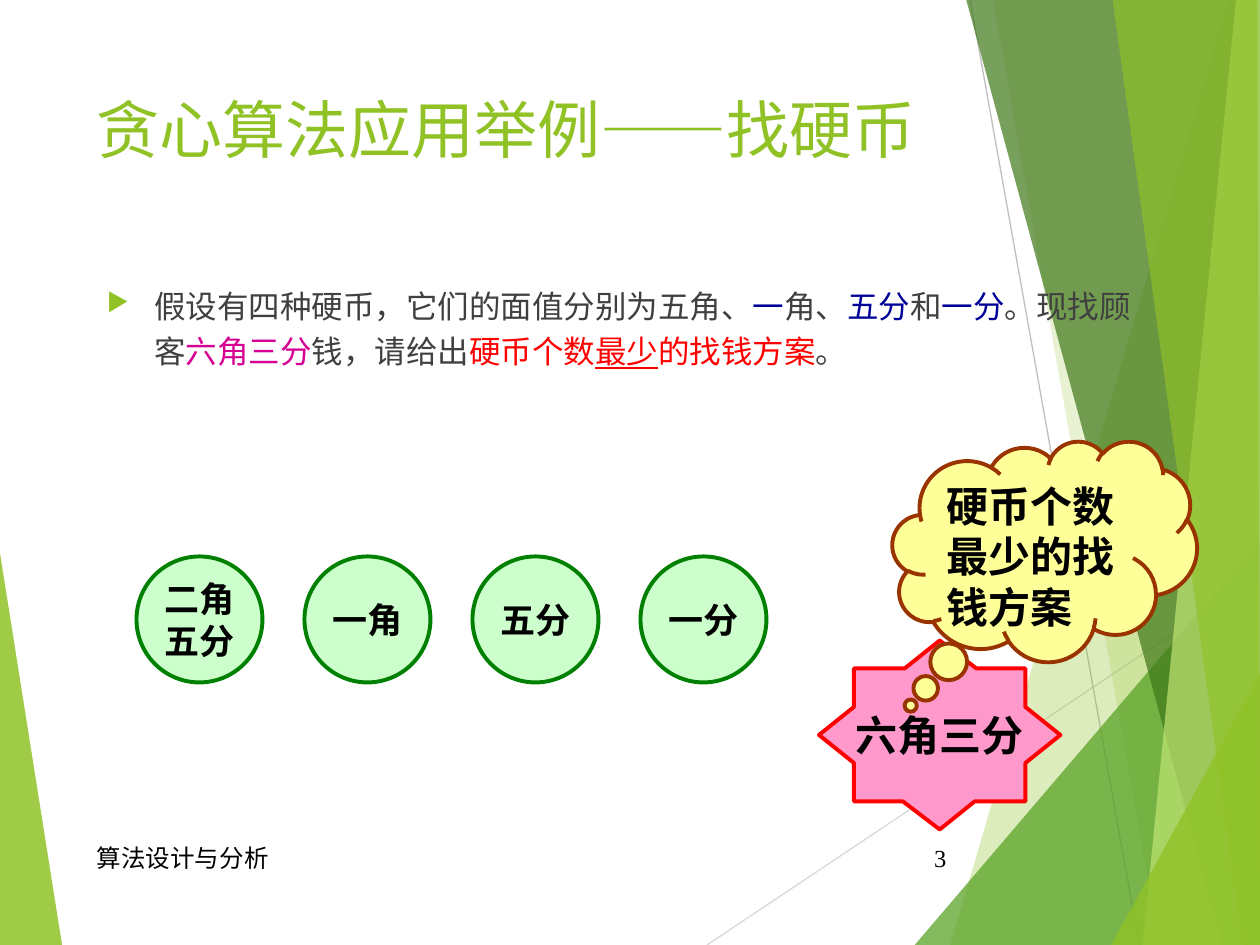
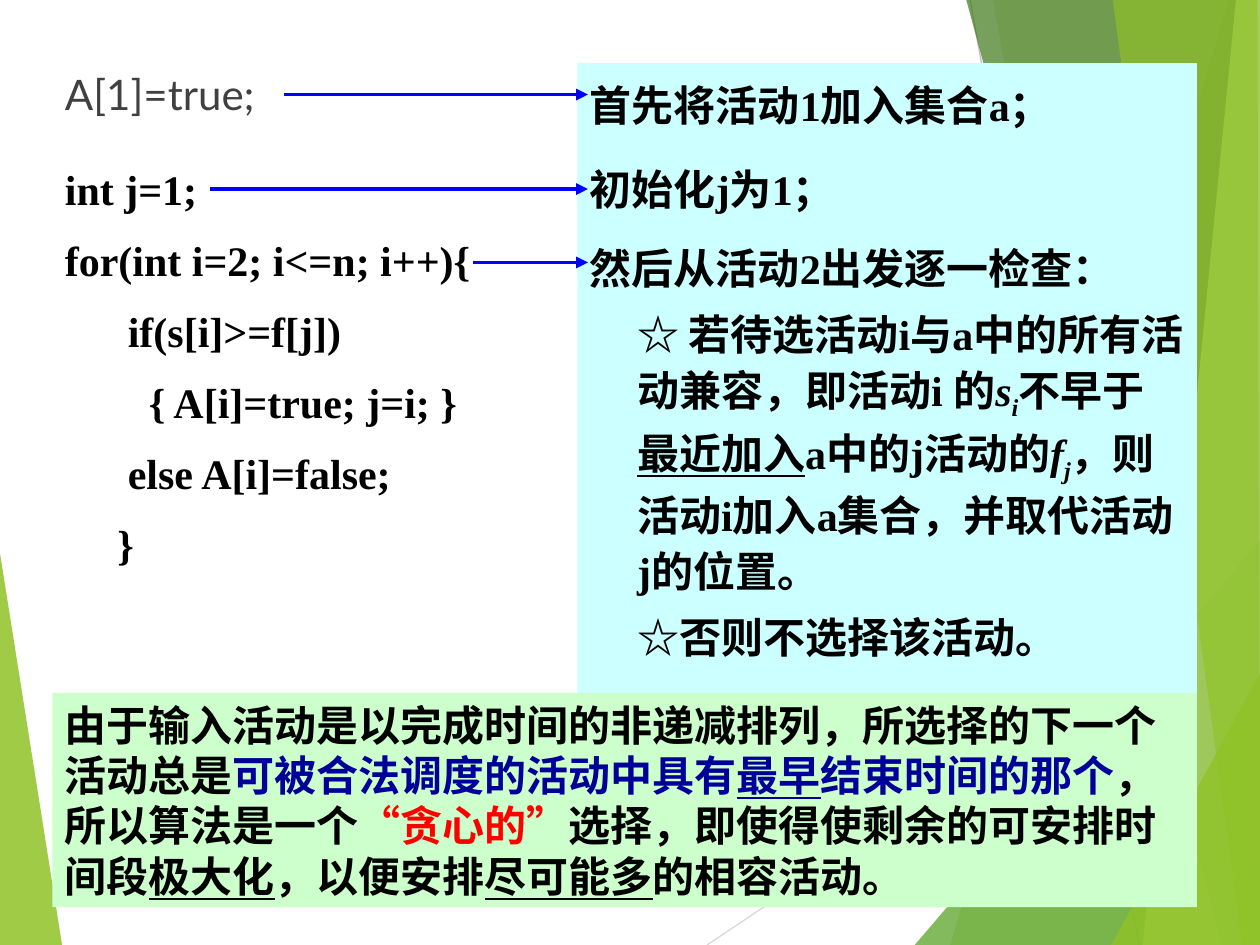
from lxml import etree
from pptx import Presentation
from pptx.dml.color import RGBColor
from pptx.enum.lang import MSO_LANGUAGE_ID
from pptx.enum.shapes import MSO_CONNECTOR, MSO_SHAPE
from pptx.enum.text import MSO_ANCHOR, PP_ALIGN
from pptx.oxml.ns import qn
from pptx.util import Pt

TOP, MIDDLE = MSO_ANCHOR.TOP, MSO_ANCHOR.MIDDLE
LEFT, CENTER, RIGHT = PP_ALIGN.LEFT, PP_ALIGN.CENTER, PP_ALIGN.RIGHT
RECT, OVAL, CLOUD = MSO_SHAPE.RECTANGLE, MSO_SHAPE.OVAL, MSO_SHAPE.CLOUD_CALLOUT
STRAIGHT = MSO_CONNECTOR.STRAIGHT
CHINESE = MSO_LANGUAGE_ID.SIMPLIFIED_CHINESE

# Colours and fonts
BLACK = RGBColor(0x00, 0x00, 0x00)
GRAY = RGBColor(0x40, 0x40, 0x40)
NAVY = RGBColor(0x00, 0x00, 0x99)
BLUE = RGBColor(0x00, 0x00, 0xFF)
RED = RGBColor(0xFF, 0x00, 0x00)
MAGENTA = RGBColor(0xD6, 0x00, 0x93)
PINK = RGBColor(0xFF, 0x99, 0xCC)
MINT = RGBColor(0xCC, 0xFF, 0xCC)
GREEN = RGBColor(0x00, 0x80, 0x00)
YELLOW = RGBColor(0xFF, 0xFF, 0x99)
BROWN = RGBColor(0x99, 0x33, 0x00)
CYAN = RGBColor(0xCC, 0xFF, 0xFF)
LIME = RGBColor(0x90, 0xC2, 0x26)
LEAF = RGBColor(0x54, 0xA0, 0x21)
FOREST = RGBColor(0x3F, 0x78, 0x19)
PALE_LIME = RGBColor(0xC0, 0xE4, 0x74)
SILVER = RGBColor(0xD9, 0xD9, 0xD9)
ASH = RGBColor(0xBF, 0xBF, 0xBF)
HEAD_FONT, TEXT_FONT = "Lato", "Times New Roman"

# Shared backdrop: facets as (colour, opacity %, corners), rays as (colour, ends)
W, H = 720, 540
LEFT_FACET = (LIME, 85, [(0, 316), (35.5, H), (0, H)])
RAYS = [(SILVER, (404, H, W, 329)), (ASH, (554.4, 0, 651, H))]
RIGHT_FACETS = [
    (LIME, 30, [(702, 0), (543, H), (W, H), (W, 0)]),
    (LIME, 20, [(567.4, 0), (662.4, H), (W, H), (W, 0)]),
    (LEAF, 72, [(522.7, H), (W, 309), (W, H)]),
    (FOREST, 70, [(552.2, 0), (698.4, H), (W, H), (W, 0)]),
    (PALE_LIME, 70, [(706.3, 0), (653, H), (W, H), (W, 0)]),
    (LIME, 65, [(635.8, 0), (710, H), (W, H), (718.6, 0)]),
    (LIME, 80, [(635, H), (W, 385), (W, H)]),
]

# Slide 1 content: a paragraph is a list of runs, a run is text or (text, format)
COIN_TITLE = "贪心算法应用举例——找硬币"
COIN_PROBLEM = [
    "假设有四种硬币，它们的面值分别为五角、", ("一", {"color": NAVY}), "角、",
    ("五分", {"color": NAVY}), "和", ("一分", {"color": NAVY}), "。现找顾客",
    ("六角三分", {"color": MAGENTA}), "钱，请给出", ("硬币个数", {"color": RED}),
    ("最少", {"color": RED, "underline": True}), ("的找钱方案", {"color": RED}), "。"]
COINS = [["二角", "五分"], ["一角"], ["五分"], ["一分"]]
AMOUNT = "六角三分"
GOAL = "硬币个数最少的找钱方案"
FOOTERS = [("算法设计与分析", 48.24, 364.3, LEFT), ("3", 507.6, 40.3, RIGHT)]
STAR = [(468, 420), (488, 436), (488, 458), (516, 458), (537, 474), (557, 458),
        (586, 458), (586, 436), (606, 420), (586, 404), (586, 382), (558, 382),
        (537, 366), (517, 382), (488, 382), (488, 404)]

# Slide 2 content
FIRST_CODE = "A[1]=true;"
CODE = ["int j=1;",
        "for(int i=2; i<=n; i++){",
        "      if(s[i]>=f[j])",
        "        { A[i]=true; j=i; }",
        "      else A[i]=false;",
        "     }"]
UNDERLINE = {"underline": True}
ITALIC = {"italic": True}
SUBSCRIPT = {"italic": True, "baseline": -25000}
CHECKS = [
    ["☆ 若待选活动i与a中的所有活动兼容，即活动i 的", ("s", ITALIC), ("i", SUBSCRIPT),
     "不早于", ("最近加入", UNDERLINE), "a中的j活动的", ("f", ITALIC), ("j", SUBSCRIPT),
     "，则活动i加入a集合，并取代活动j的位置。"],
    ["☆否则不选择该活动。"]]
# (text, height, line spacing, arrow start x, arrow y)
STEPS = [("首先将活动1加入集合a；", 48, 1.2, 162, 54),
         ("初始化j为1；", 48, 1.2, 120, 108),
         ("然后从活动2出发逐一检查：", 264, 1.1, 270, 150)]
CONCLUSION = [
    "由于输入活动是以完成时间的非递减排列，所选择的下一个活动总是",
    ("可被合法调度的活动中具有", {"color": NAVY}),
    ("最早", {"color": NAVY, "underline": True}), ("结束时间的那个", {"color": NAVY}),
    "，所以算法是一个", ("“贪心的”", {"color": RED}), "选择，即使得使剩余的可安排时间段",
    ("极大化", UNDERLINE), "，以便安排", ("尽可能多", UNDERLINE), "的相容活动。"]


def add_runs(p, runs, font, size, color, bold):
    for run in runs:
        text, fmt = (run, {}) if isinstance(run, str) else run
        r = p.add_run()
        r.text = text
        style = {"name": font, "size": Pt(size), "bold": bold,
                 "language_id": CHINESE, **fmt}
        r.font.color.rgb = style.pop("color", color)
        baseline = style.pop("baseline", None)
        for key, value in style.items():
            setattr(r.font, key, value)
        if baseline:
            r._r.get_or_add_rPr().set("baseline", str(baseline))


def write(tf, paragraphs, size=24, font=TEXT_FONT, color=BLACK, bold=True,
          align=LEFT, anchor=TOP, wrap=True, spacing=1.0, before=0, hang=0):
    tf.word_wrap, tf.vertical_anchor = wrap, anchor
    for i, runs in enumerate(paragraphs):
        p = tf.paragraphs[0] if i == 0 else tf.add_paragraph()
        p.alignment, p.line_spacing = align, spacing
        p.space_before = Pt(before if i else 0)
        if hang:
            indent(p, hang, -hang)
        add_runs(p, runs, font, size, color, bold)


def indent(p, margin, first):
    pPr = p._p.get_or_add_pPr()
    pPr.set("marL", str(Pt(margin)))
    pPr.set("indent", str(Pt(first)))


def add_bullet(p, char, color, percent):
    """Insert bullet colour, size and character after the spacing elements."""
    pPr = p._p.get_or_add_pPr()
    bu_color = etree.SubElement(pPr, qn("a:buClr"))
    etree.SubElement(bu_color, qn("a:srgbClr")).set("val", str(color))
    etree.SubElement(pPr, qn("a:buSzPct")).set("val", str(percent * 1000))
    etree.SubElement(pPr, qn("a:buChar")).set("char", char)


def paint(sp, fill, line=None, opacity=100):
    sp.shadow.inherit = False
    sp.fill.solid()
    sp.fill.fore_color.rgb = fill
    if opacity < 100:
        clr = sp._element.spPr.find(qn("a:solidFill"))[0]
        etree.SubElement(clr, qn("a:alpha")).set("val", str(opacity * 1000))
    if line is None:
        sp.line.fill.background()
    else:
        sp.line.color.rgb = line
        sp.line.width = Pt(2.25)
    return sp


def add_box(s, kind, x, y, w, h, fill, line=None):
    return paint(s.shapes.add_shape(kind, Pt(x), Pt(y), Pt(w), Pt(h)), fill, line)


def add_text(s, x, y, w, h, paragraphs, **style):
    tf = s.shapes.add_textbox(Pt(x), Pt(y), Pt(w), Pt(h)).text_frame
    write(tf, paragraphs, **style)
    return tf


def add_polygon(s, corners, fill, line=None, opacity=100):
    (x, y), *rest = [(Pt(a), Pt(b)) for a, b in corners]
    builder = s.shapes.build_freeform(x, y)
    builder.add_line_segments(rest, close=True)
    return paint(builder.convert_to_shape(), fill, line, opacity)


def add_line(s, ends, color, width, arrow=False):
    c = s.shapes.add_connector(STRAIGHT, *[Pt(v) for v in ends])
    c.line.color.rgb = color
    c.line.width = Pt(width)
    if arrow:
        ln = c._element.spPr.find(qn("a:ln"))
        etree.SubElement(ln, qn("a:tailEnd")).set("type", "triangle")
    etree.SubElement(c._element.spPr, qn("a:effectLst"))


def add_backdrop(s):
    color, opacity, corners = LEFT_FACET
    add_polygon(s, corners, color, opacity=opacity)
    for color, ends in RAYS:
        add_line(s, ends, color, 0.75)
    for color, opacity, corners in RIGHT_FACETS:
        add_polygon(s, corners, color, opacity=opacity)


def build_coin_slide(prs):
    s = prs.slides.add_slide(prs.slide_layouts[5])
    add_backdrop(s)

    # Title, brought in front of the backdrop
    title = s.shapes.title
    s.shapes._spTree.append(title._element)
    title.left, title.top, title.width, title.height = Pt(48), Pt(48), Pt(500), Pt(104)
    write(title.text_frame, [[COIN_TITLE]], 36, HEAD_FONT, LIME, False)

    # Problem statement and footers
    tf = add_text(s, 54, 156, 612, 132, [COIN_PROBLEM], size=18, font=HEAD_FONT,
                  color=GRAY, bold=False, spacing=1.2, hang=27)
    add_bullet(tf.paragraphs[0], "▶", LIME, 80)
    for text, x, w, align in FOOTERS:
        add_text(s, x, 476, w, 28.8, [[text]], size=14, bold=False,
                 align=align, anchor=MIDDLE)

    # Amount, coins and goal
    centered = {"align": CENTER, "anchor": MIDDLE, "wrap": False}
    star = add_polygon(s, STAR, PINK, RED)
    write(star.text_frame, [[AMOUNT]], **centered)
    for i, lines in enumerate(COINS):
        coin = add_box(s, OVAL, 78 + 96 * i, 318, 72, 72, MINT, GREEN)
        write(coin.text_frame, [[line] for line in lines], 20, **centered)
    cloud = add_box(s, CLOUD, 510, 252, 174, 126, YELLOW, BROWN)
    cloud.adjustments[0], cloud.adjustments[1] = -0.44, 0.7
    write(cloud.text_frame, [[GOAL]])


def build_activity_slide(prs):
    s = prs.slides.add_slide(prs.slide_layouts[6])
    add_backdrop(s)

    # Code on the left
    add_text(s, 30, 30, 270, 42, [[FIRST_CODE]], font=HEAD_FONT, color=GRAY,
             bold=False, spacing=1.2, hang=27)
    add_text(s, 30, 84, 270, 252, [[line] for line in CODE],
             spacing=1.2, before=6, hang=27)

    # Explanations stacked on the right, each with its arrow
    y = 36
    for text, h, spacing, arrow_x, arrow_y in STEPS:
        panel = add_box(s, RECT, 330, y, 354, h, CYAN)
        last = text == STEPS[-1][0]
        write(panel.text_frame, [[text]] + (CHECKS if last else []),
              spacing=spacing, before=6, hang=27)
        for p in panel.text_frame.paragraphs[1:]:
            indent(p, 27, 0)
        add_line(s, (arrow_x, arrow_y, 336, arrow_y), BLUE, 2.25, arrow=True)
        y += h

    # Conclusion band
    band = add_box(s, RECT, 30, y, 654, 122.4, MINT)
    write(band.text_frame, [CONCLUSION])


def main():
    prs = Presentation()
    prs.slide_width, prs.slide_height = Pt(W), Pt(H)
    build_coin_slide(prs)
    build_activity_slide(prs)
    prs.save("out.pptx")


if __name__ == "__main__":
    main()
